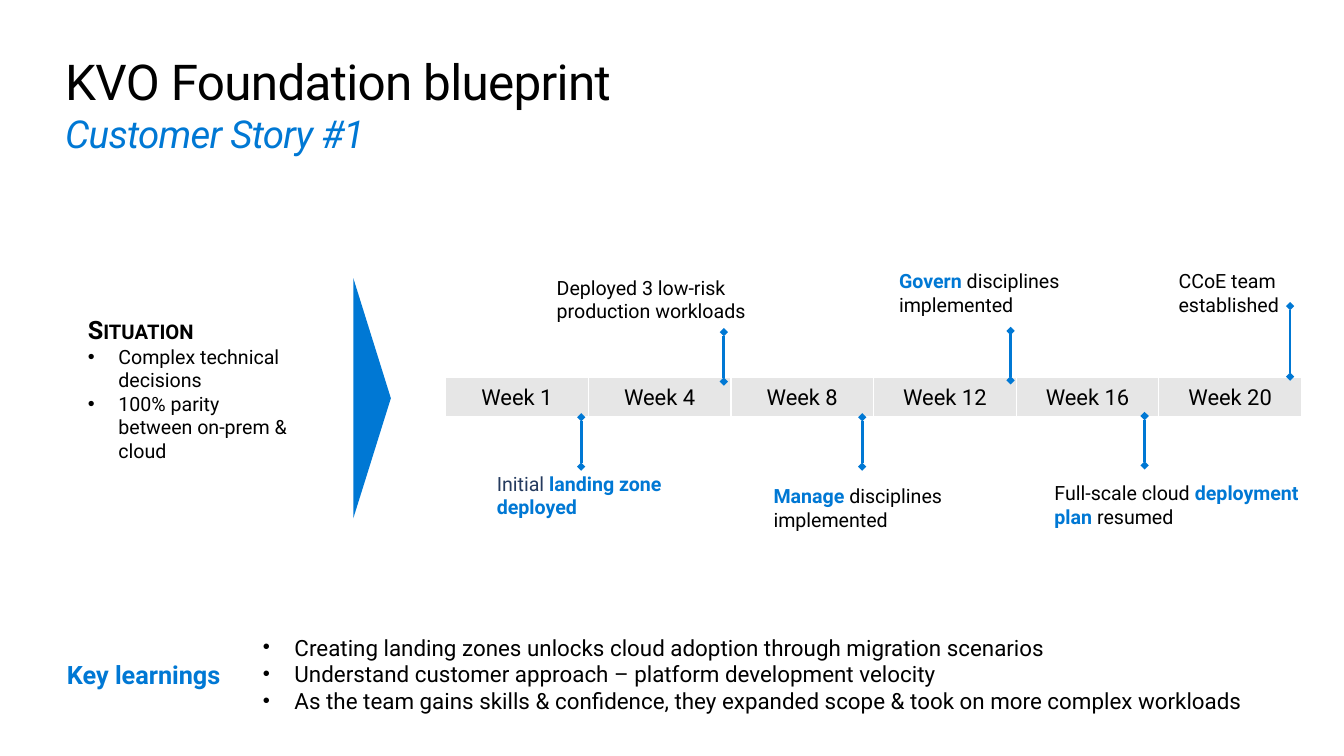
"""Build the KVO Foundation blueprint customer story slide."""
from lxml.etree import SubElement
from pptx import Presentation
from pptx.dml.color import RGBColor
from pptx.enum.shapes import MSO_CONNECTOR, MSO_SHAPE
from pptx.enum.text import MSO_ANCHOR, MSO_AUTO_SIZE, PP_ALIGN
from pptx.oxml.ns import qn
from pptx.util import Inches, Pt

FONT = "Roboto"
COLORS = {name: RGBColor.from_string(value) for name, value in {
    "black": "000000", "blue": "0078D4", "navy": "243A5E",
    "gray": "E6E6E6", "white": "FFFFFF"}.items()}
WEEKS = ["Week 1", "Week 4", "Week 8", "Week 12", "Week 16", "Week 20"]
LEFT, TOP = Inches(4.51), Inches(3.82)
COLUMN, ROW = Inches(8.66 / len(WEEKS)), Inches(0.41)


def style(font, size, color="black", bold=False):
    """Apply the slide's typeface with a size, colour and weight."""
    font.name, font.size, font.bold = FONT, Pt(size), bold
    font.color.rgb = COLORS[color]


def add_bullet(paragraph, indent, percent=100):
    """Give a paragraph a hanging round bullet."""
    properties = paragraph._p.get_or_add_pPr()
    properties.set("marL", str(Inches(indent)))
    properties.set("indent", str(-Inches(indent)))
    SubElement(properties, qn("a:buSzPct"), val=str(percent * 1000))
    SubElement(properties, qn("a:buFont"), typeface="Arial")
    SubElement(properties, qn("a:buChar"), char="•")


presentation = Presentation()
presentation.slide_width, presentation.slide_height = Inches(13.6), Inches(7.65)
slide = presentation.slides.add_slide(presentation.slide_layouts[1])
title, learnings = slide.placeholders

title.left, title.top, title.width, title.height = map(Inches, (0.66, 0.51, 12.29, 1.08))
learnings.left, learnings.top, learnings.width, learnings.height = map(
    Inches, (2.66, 6.26, 10.51, 1.12))
for placeholder in (title, learnings):
    frame = placeholder.text_frame
    frame.margin_left = frame.margin_right = frame.margin_top = frame.margin_bottom = 0
    frame.vertical_anchor = MSO_ANCHOR.MIDDLE
    frame.auto_size = MSO_AUTO_SIZE.NONE

heading = title.text_frame.paragraphs[0]
heading.alignment = PP_ALIGN.LEFT
for text, size, color in [("KVO Foundation blueprint", 36, "black"),
                          ("Customer Story #1", 28, "blue")]:
    if heading.runs:
        heading.add_line_break()
    run = heading.add_run()
    run.text = text
    style(run.font, size, color)
    run.font.italic = color == "blue"
    run.font._element.set("spc", "-50")

learnings.text_frame.text = "\n".join([
    "Creating landing zones unlocks cloud adoption through migration scenarios",
    "Understand customer approach – platform development velocity",
    "As the team gains skills & confidence, they expanded scope & took on more complex workloads",
])
for paragraph in learnings.text_frame.paragraphs:
    paragraph.space_before = Pt(0)
    add_bullet(paragraph, 0.32, 90)
    style(paragraph.font, 16.3)

table = slide.shapes.add_table(1, len(WEEKS), LEFT, TOP, COLUMN * len(WEEKS), ROW).table
table.first_row = table.horz_banding = False
table.rows[0].height = ROW
for column, cell, week in zip(table.columns, table.rows[0].cells, WEEKS):
    column.width = COLUMN
    cell.text = week
    cell.vertical_anchor = MSO_ANCHOR.MIDDLE
    paragraph = cell.text_frame.paragraphs[0]
    paragraph.alignment = PP_ALIGN.CENTER
    style(paragraph.font, 16)
    for side, points in [("L", 1), ("R", 1), ("T", 1), ("B", 3)]:
        border = SubElement(cell._tc.get_or_add_tcPr(), qn(f"a:ln{side}"), w=str(Pt(points)))
        fill = SubElement(border, qn("a:solidFill"))
        SubElement(fill, qn("a:srgbClr"), val=str(COLORS["white"]))
    cell.fill.solid()
    cell.fill.fore_color.rgb = COLORS["gray"]

# Milestones: marker column, start and end rows; label column, row, width; runs.
milestones = [
    (0.95, 2.2, 0.98, 0.29, 2.2, 1.47,
     [("Initial", "navy"), (" landing zone deployed", "blue")]),
    (1.95, 0.1, -1.12, 0.71, -2.63, 1.68,
     [("Deployed 3 low-risk production workloads", "black")]),
    (2.92, 2.2, 0.98, 2.23, 2.51, 1.37,
     [("Manage ", "blue"), ("disciplines implemented", "black")]),
    (3.96, 0.07, -1.15, 3.11, -2.8, 1.68,
     [("Govern ", "blue"), ("disciplines implemented", "black")]),
    (4.9, 2.17, 0.95, 4.2, 2.44, 1.86,
     [("Full-scale cloud ", "black"), ("deployment plan ", "blue"), ("resumed", "black")]),
    (5.92, -0.02, -1.76, 5.07, -2.8, 1.17,
     [("CCoE team established", "black")]),
]
for marker, start, end, column, row, width, runs in milestones:
    x = LEFT + round(marker * COLUMN)
    connector = slide.shapes.add_connector(
        MSO_CONNECTOR.STRAIGHT, x, TOP + round(start * ROW), x, TOP + round(end * ROW))
    connector.line.color.rgb = COLORS["blue"]
    connector.line.width = Pt(2)
    line = connector.line._get_or_add_ln()
    for arrowhead in ("a:headEnd", "a:tailEnd"):
        SubElement(line, qn(arrowhead), type="diamond")
    SubElement(connector._element.spPr, qn("a:effectLst"))

    label = slide.shapes.add_textbox(LEFT + round(column * COLUMN), TOP + round(row * ROW),
                                     round(width * COLUMN), Inches(0.58))
    label.text_frame.word_wrap = True
    for text, color in runs:
        run = label.text_frame.paragraphs[0].add_run()
        run.text = text
        style(run.font, 14.3, color, bold=color == "blue")

key_label = slide.shapes.add_textbox(*map(Inches, (0.58, 6.62, 1.9, 0.41)))
key_label.text_frame.word_wrap = True
key_label.text_frame.text = "Key learnings"
style(key_label.text_frame.paragraphs[0].font, 18.4, "blue", bold=True)

pointer = slide.shapes.add_shape(MSO_SHAPE.ISOSCELES_TRIANGLE,
                                 *map(Inches, (2.55, 3.84, 2.43, 0.38)))
pointer.rotation = 90
pointer.shadow.inherit = False
pointer.fill.solid()
pointer.fill.fore_color.rgb = COLORS["blue"]
pointer.line.fill.background()

situation = slide.shapes.add_textbox(*map(Inches, (0.79, 3.13, 2.29, 1.61)))
situation.text_frame.word_wrap = True
situation.text_frame.text = "\n".join([
    "Situation", "Complex technical decisions", "100% parity between on-prem & cloud"])
situation_heading, *situation_points = situation.text_frame.paragraphs
style(situation_heading.font, 18.4, bold=True)
situation_heading.runs[0].font._element.set("cap", "small")
for paragraph in situation_points:
    add_bullet(paragraph, 0.31)
    style(paragraph.font, 14.3)

presentation.save("out.pptx")
